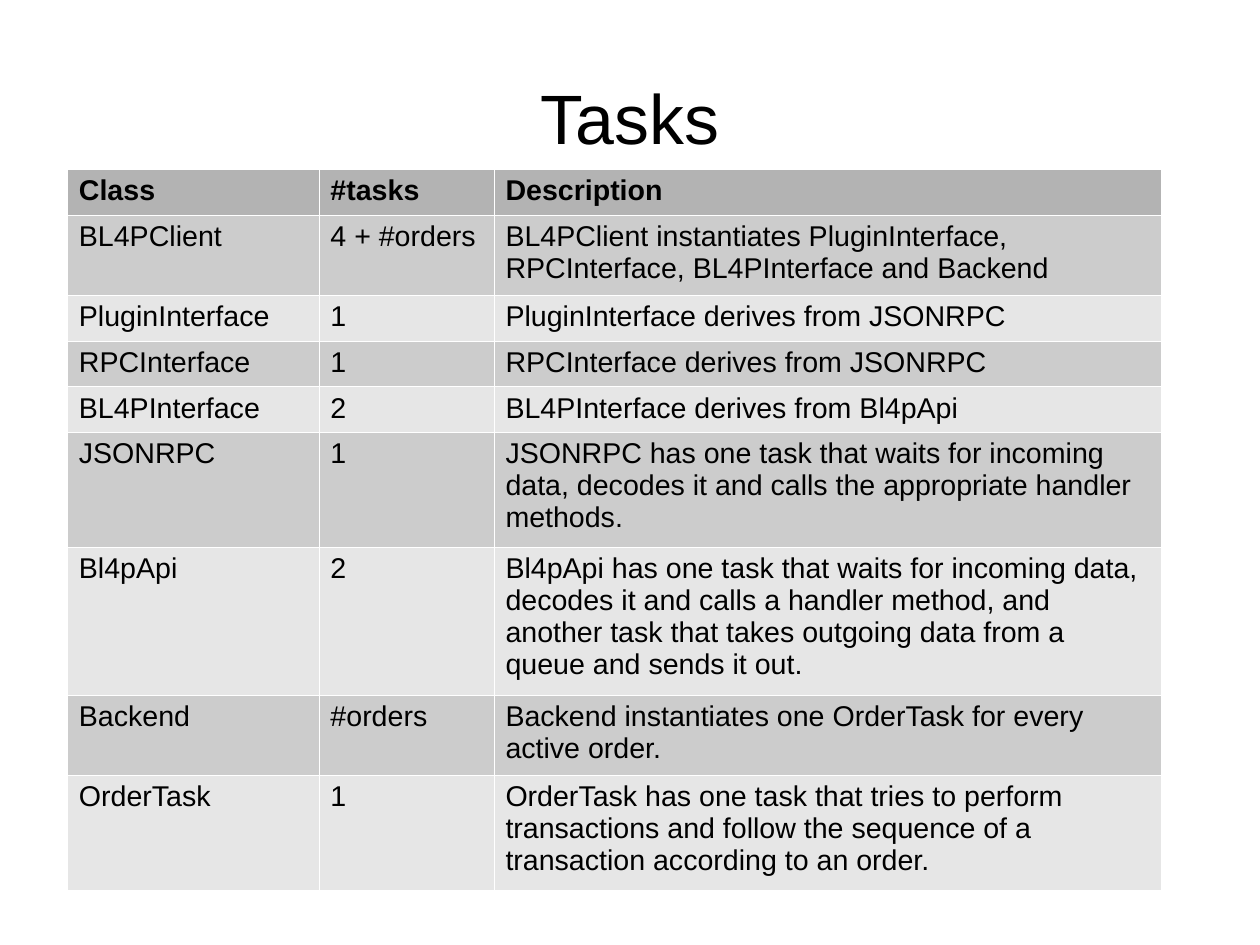
from lxml.etree import SubElement as Sub
from pptx import Presentation
from pptx.dml.color import RGBColor as Rgb
from pptx.enum.text import MSO_ANCHOR as Anchor, MSO_AUTO_SIZE as Auto, PP_ALIGN as Align
from pptx.oxml.ns import qn
from pptx.util import Cm, Pt

HUES = {"ink": "000000", "head": "B3B3B3", "dark": "CCCCCC", "light": "E6E6E6", "rule": "FFFFFF"}
COLS = [5.59, 3.89, 14.83]
ROWS = [
    (1, "Class", "#tasks", "Description"),
    (2, "BL4PClient", "4 + #orders",
     "BL4PClient instantiates PluginInterface, RPCInterface, BL4PInterface and Backend"),
    (1, "PluginInterface", "1", "PluginInterface derives from JSONRPC"),
    (1, "RPCInterface", "1", "RPCInterface derives from JSONRPC"),
    (1, "BL4PInterface", "2", "BL4PInterface derives from Bl4pApi"),
    (3, "JSONRPC", "1",
     "JSONRPC has one task that waits for incoming data, decodes it and calls the "
     "appropriate handler methods."),
    (4, "Bl4pApi", "2",
     "Bl4pApi has one task that waits for incoming data, decodes it and calls a handler "
     "method, and another task that takes outgoing data from a queue and sends it out."),
    (2, "Backend", "#orders", "Backend instantiates one OrderTask for every active order."),
    (3, "OrderTask", "1",
     "OrderTask has one task that tries to perform transactions and follow the sequence "
     "of a transaction according to an order."),
]


class Deck:
    """Hold the style and the current slide, and draw each kind of element."""

    def __init__(self, wide, high):
        self.prs = Presentation()
        self.prs.slide_width, self.prs.slide_height = Cm(wide), Cm(high)
        self.slide = self.prs.slides.add_slide(self.prs.slide_layouts[5])

    def apply(self, item, form):
        for name, value in form.items():
            setattr(item, name, value)

    def label(self, frame, text, size, bold=False):
        frame.text = text
        font = frame.paragraphs[0].runs[0].font
        self.apply(font, {"name": "Arial", "size": Pt(size), "bold": bold})
        font.color.rgb = Rgb.from_string(HUES["ink"])

    def title(self, text, left, top, wide, high):
        shape = self.slide.shapes.title
        self.apply(shape, {"left": Cm(left), "top": Cm(top), "width": Cm(wide), "height": Cm(high)})
        frame = shape.text_frame
        self.label(frame, text, 44)
        sides = ("margin_left", "margin_top", "margin_right", "margin_bottom")
        self.apply(frame, dict.fromkeys(sides, 0))
        self.apply(frame, {"vertical_anchor": Anchor.MIDDLE, "word_wrap": True,
                           "auto_size": Auto.SHAPE_TO_FIT_TEXT})
        frame.paragraphs[0].alignment = Align.CENTER

    def border(self, cell):
        props = cell._tc.get_or_add_tcPr()
        for spot, side in enumerate(("lnL", "lnR", "lnT", "lnB")):
            line = Sub(props, qn(f"a:{side}"), w=str(Pt(0.06)))
            Sub(Sub(line, qn("a:solidFill")), qn("a:srgbClr"), val=HUES["rule"])
            props.insert(spot, line)

    def table(self, rows, cols, left, top):
        highs = [Cm(0.25 + 0.76 * row[0]) for row in rows]
        grid = self.slide.shapes.add_table(
            len(rows), len(cols), Cm(left), Cm(top), Cm(sum(cols)), sum(highs)).table
        for col, wide in zip(grid.columns, cols):
            col.width = Cm(wide)
        for r, (high, (_, *texts)) in enumerate(zip(highs, rows)):
            grid.rows[r].height = high
            hue = "head" if r == 0 else "dark" if r % 2 else "light"
            for c, text in enumerate(texts):
                cell = grid.cell(r, c)
                self.label(cell.text_frame, text, 18, r == 0)
                cell.fill.solid()
                cell.fill.fore_color.rgb = Rgb.from_string(HUES[hue])
                self.border(cell)


def main():
    deck = Deck(28, 21)
    deck.title("Tasks", 1.4, 0.84, 25.2, 3.51)
    deck.table(ROWS, COLS, 1.5, 3.76)
    deck.prs.save("out.pptx")


if __name__ == "__main__":
    main()
